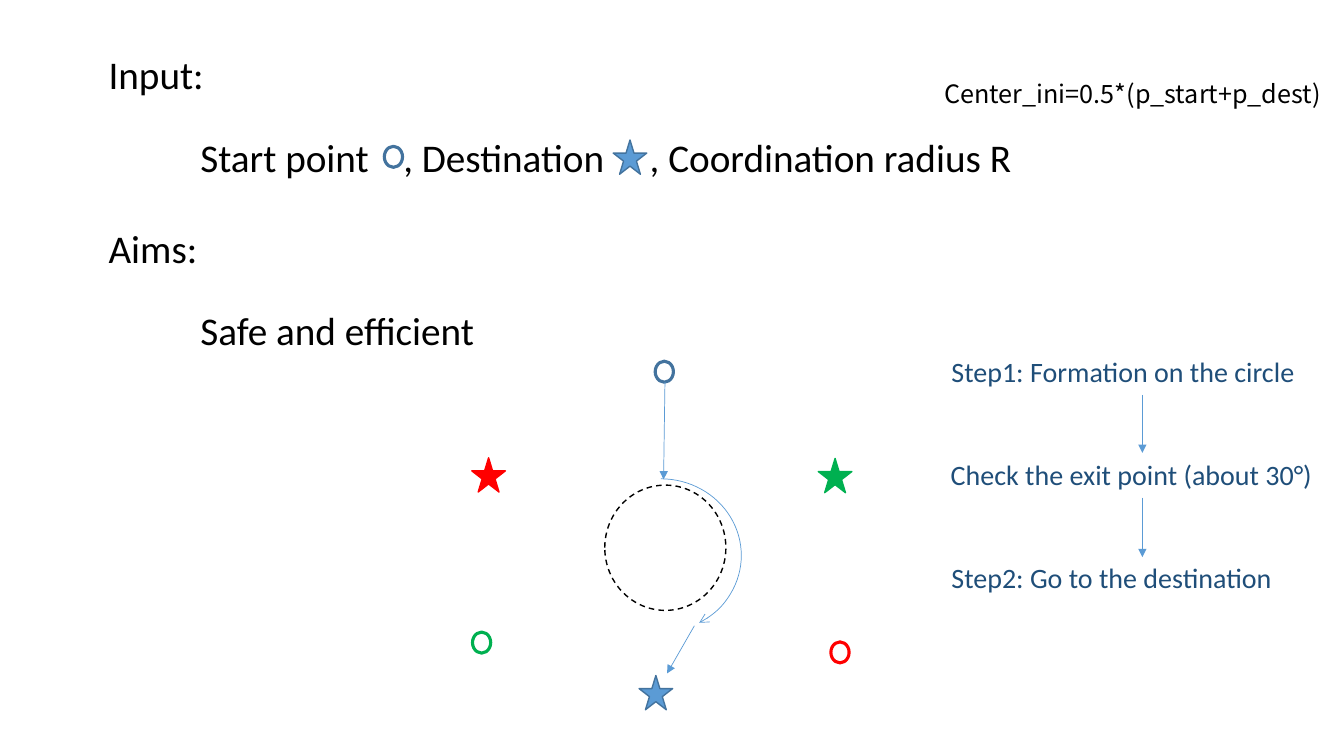
from lxml import etree
from pptx import Presentation
from pptx.dml.color import RGBColor
from pptx.enum.dml import MSO_LINE
from pptx.enum.shapes import MSO_CONNECTOR, MSO_SHAPE
from pptx.oxml.ns import qn
from pptx.util import Pt

ELLIPSE, STAR, ARC = MSO_SHAPE.OVAL, MSO_SHAPE.STAR_5_POINT, MSO_SHAPE.ARC
STRAIGHT = MSO_CONNECTOR.STRAIGHT
DASH = MSO_LINE.DASH
BLACK, WHITE, RED, GREEN = "000000", "FFFFFF", "FF0000", "00B050"
BLUE, BLUE_EDGE, NAVY = "5B9BD5", "43739E", "1F4E79"


def color(value):
    """Turn a hex string into a colour."""
    return RGBColor.from_string(value)


def add_text(slide, box, text, size, hue=BLACK, font="Calibri", tabs=()):
    """Place one line of text, with optional tab stops in points."""
    shape = slide.shapes.add_textbox(*map(Pt, box))
    shape.text_frame.word_wrap = False
    paragraph = shape.text_frame.paragraphs[0]
    paragraph.text = text
    if tabs:
        properties = paragraph._p.get_or_add_pPr()
        tab_list = etree.SubElement(properties, qn("a:tabLst"))
        for position in tabs:
            etree.SubElement(tab_list, qn("a:tab"), pos=str(Pt(position)), algn="l")
    paragraph.font.size = Pt(size)
    paragraph.font.name = font
    paragraph.font.color.rgb = color(hue)
    return shape


def add_outline(slide, kind, box, edge, width, fill=None):
    """Place a preset shape with an outline and an optional fill."""
    shape = slide.shapes.add_shape(kind, *map(Pt, box))
    shape.shadow.inherit = False
    if fill:
        shape.fill.solid()
        shape.fill.fore_color.rgb = color(fill)
    else:
        shape.fill.background()
    shape.line.color.rgb = color(edge)
    shape.line.width = Pt(width)
    return shape


def add_arrowhead(shape, kind):
    """Put an arrowhead at the end of an already styled line."""
    line = shape._element.spPr.find(qn("a:ln"))
    etree.SubElement(line, qn("a:tailEnd"), type=kind)


def add_arrow(slide, start, end):
    """Draw a thin straight arrow between two points."""
    arrow = slide.shapes.add_connector(STRAIGHT, *map(Pt, (*start, *end)))
    arrow.line.color.rgb = color(BLUE)
    arrow.line.width = Pt(0.5)
    add_arrowhead(arrow, "triangle")
    etree.SubElement(arrow._element.spPr, qn("a:effectLst"))
    return arrow


def add_start(slide, left, top, hue):
    """Draw the ring that marks a start point."""
    add_outline(slide, ELLIPSE, (left, top, 13, 15), hue, 2.25)


def add_destination(slide, left, top, edge, fill):
    """Draw the star that marks a destination."""
    add_outline(slide, STAR, (left, top, 24, 24.5), edge, 1, fill)


def add_section(slide, box, heading, heading_width, detail, tabs=()):
    """Place a heading with an indented line below it."""
    left, top, width, height = box
    indent, drop = 65.5, 59
    add_text(slide, (left, top, heading_width, height), heading, 28)
    add_text(slide, (left + indent, top + drop, width - indent, height), detail, 28, tabs=tabs)


def add_brief(slide, box):
    """Place the input and aims sections with the inline symbols."""
    left, top, width, height = box
    add_section(slide, (left, top, width, 41), "Input:", 83.5,
                "Start point\t, Destination\t, Coordination radius R", (145, 321))
    add_start(slide, left + 204, top + 72, BLUE_EDGE)
    add_destination(slide, left + 367.5, top + 67.5, BLUE_EDGE, BLUE)
    add_section(slide, (left, top + height / 2, 278, 41), "Aims:", 78.5, "Safe and efficient")


def add_encounter(slide, box):
    """Draw the three agents, the coordination circle and the path round it."""
    left, top, width, height = box
    right, bottom = left + width, top + height

    add_start(slide, left + 131, top, BLUE_EDGE)
    add_start(slide, left + 0.5, top + 193.5, GREEN)
    add_start(slide, right - 15, top + 200.5, RED)
    add_destination(slide, left + 119.5, bottom - 24.5, BLUE_EDGE, BLUE)
    add_destination(slide, left, top + 69, RED, RED)
    add_destination(slide, right - 24, top + 69.5, GREEN, GREEN)

    circle = add_outline(slide, ELLIPSE, (left + 95, top + 88.5, 86.5, 89.5), BLACK, 1, WHITE)
    circle.line.dash_style = DASH
    add_arrow(slide, (left + 138, top + 15), (left + 137, top + 84.5))
    detour = add_outline(slide, ARC, (left + 77.5, top + 84, 115, 109.5), BLUE, 0.5)
    detour.adjustments[0] = 162
    detour.adjustments[1] = 36.16
    add_arrowhead(detour, "arrow")
    add_arrow(slide, (left + 159, top + 189), (left + 139.5, bottom - 26))


def add_procedure(slide, box):
    """Place the three steps, joined by arrows."""
    left, top, width, height = box
    step_height = 32
    pitch = (height - step_height) / 2
    middle = left + width / 2
    add_text(slide, (left + 0.5, top, 262, step_height),
             "Step1: Formation on the circle", 20, NAVY)
    check = add_text(slide, (left, top + pitch, width, step_height),
                     "Check the exit point (about 30°)", 20, NAVY)
    add_text(slide, (left + 0.5, top + 2 * pitch, 245.5, step_height),
             "Step2: Go to the destination", 20, NAVY)
    entry = add_arrow(slide, (middle, top + step_height), (middle, top + pitch))
    entry.end_connect(check, 0)
    leave = add_arrow(slide, (middle, top + pitch + step_height), (middle, top + 2 * pitch + 1))
    leave.begin_connect(check, 2)


def main():
    """Build and save the slide."""
    presentation = Presentation()
    presentation.slide_width, presentation.slide_height = Pt(960), Pt(540)
    slide = presentation.slides.add_slide(presentation.slide_layouts[6])
    add_brief(slide, (70.5, 32.5, 666.5, 248))
    add_encounter(slide, (337, 258, 271.5, 249))
    add_procedure(slide, (672, 250, 288, 179))
    add_text(slide, (667.5, 52.5, 296, 29), "Center_ini=0.5*(p_start+p_dest)", 18,
             font="Noto Sans CJK SC")
    presentation.save("out.pptx")


if __name__ == "__main__":
    main()
